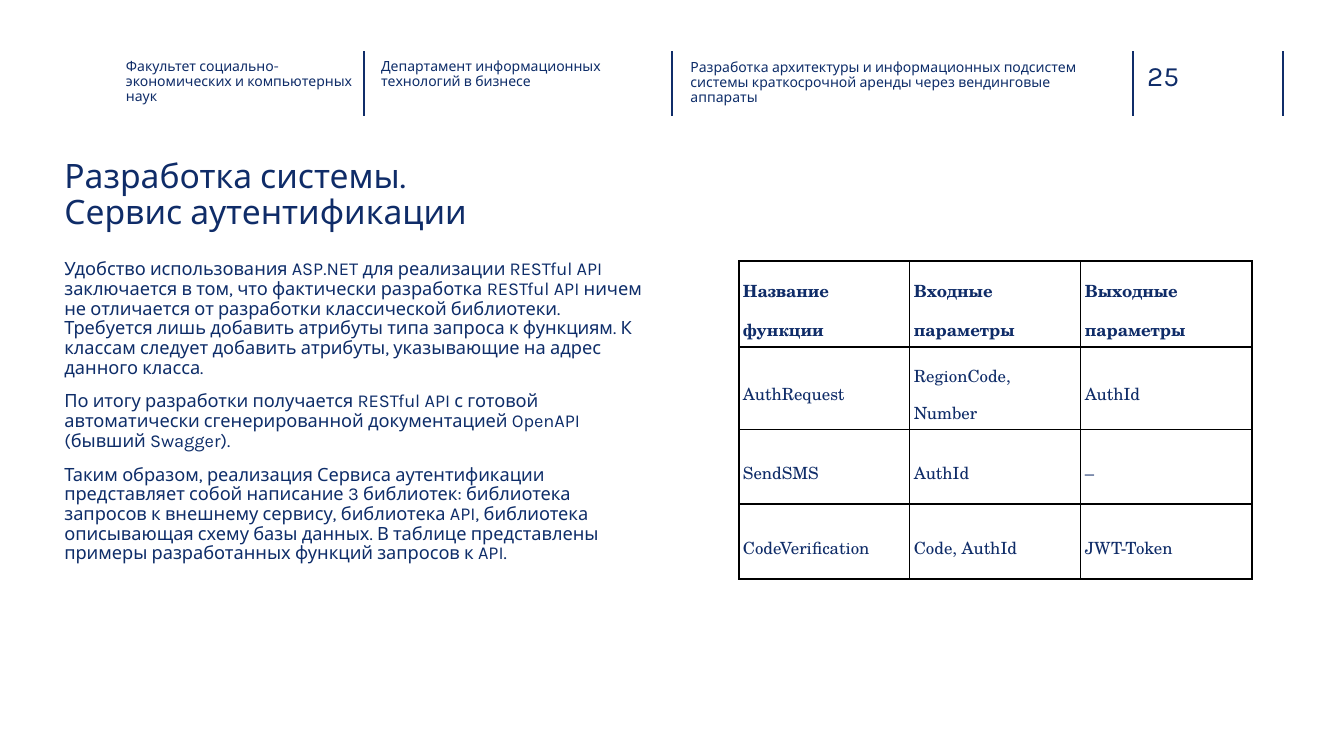
"""Builds the slide about the authentication service."""
from typing import NamedTuple

from lxml import etree
from pptx import Presentation
from pptx import util as u
from pptx.dml import color
from pptx.enum import shapes, text
from pptx.oxml import ns

NAVY = "0F2C68"
BLUE = "0E2D69"
RULE = "102D69"
BLACK = "000000"
SANS = "Karla"
SERIF = "TeX Gyre Schola"


class Box(NamedTuple):
    left: float
    top: float
    width: float
    height: float


class Note(NamedTuple):
    box: Box
    paras: list[str]
    size: float
    hue: str = BLUE
    gap: float = 0
    lead: float = 0.9
    foot: float = 0


RULES = [260, 480, 809.3, 916.5]
TITLE = Note(Box(46, 113.8, 413.3, 61.2),
             ["Разработка системы.\nСервис аутентификации"], 24, NAVY)
NOTES = [
    Note(Box(819.4, 41.8, 52.6, 24.5), ["25"], 20, RULE, lead=1),
    Note(Box(46, 185.8, 413.3, 269.3), [
        "Удобство использования ASP.NET для реализации RESTful API заключается "
        "в том, что фактически разработка RESTful API ничем не отличается от "
        "разработки классической библиотеки. Требуется лишь добавить атрибуты "
        "типа запроса к функциям. К классам следует добавить атрибуты, "
        "указывающие на адрес данного класса.",
        "По итогу разработки получается RESTful API с готовой автоматически "
        "сгенерированной документацией OpenAPI (бывший Swagger).",
        "Таким образом, реализация Сервиса аутентификации представляет собой "
        "написание 3 библиотек: библиотека запросов к внешнему сервису, "
        "библиотека API, библиотека описывающая схему базы данных. В таблице "
        "представлены примеры разработанных функций запросов к API.",
    ], 13, gap=10, foot=3.6),
    Note(Box(90, 42.5, 166, 32.4),
         ["Факультет социально-экономических и компьютерных наук"], 10, NAVY),
    Note(Box(272.2, 42.5, 179.3, 32.4),
         ["Департамент информационных технологий в бизнесе"], 10),
    Note(Box(493.2, 43.2, 277.2, 32.4),
         ["Разработка архитектуры и информационных подсистем системы "
          "краткосрочной аренды через вендинговые аппараты"], 10),
]
GRID = Box(527.8, 186.5, 366.3, 214)
ROWS = [
    ["Название функции", "Входные параметры", "Выходные параметры"],
    ["AuthRequest", "RegionCode, Number", "AuthId"],
    ["SendSMS", "AuthId", "–"],
    ["CodeVerification", "Code, AuthId", "JWT-Token"],
]


def paint(hue: str) -> color.RGBColor:
    return color.RGBColor.from_string(hue)


def points(box: Box) -> list[u.Pt]:
    return [u.Pt(part) for part in box]


def add_run(para, words: str, face: str, size: float, hue: str,
            bold: bool = False) -> None:
    run = para.add_run()
    run.text = words
    run.font.name = face
    run.font.size = u.Pt(size)
    run.font.bold = bold
    run.font.color.rgb = paint(hue)


def write(shape, note: Note) -> None:
    shape.left, shape.top, shape.width, shape.height = points(note.box)
    frame = shape.text_frame
    frame.word_wrap = True
    frame.auto_size = text.MSO_AUTO_SIZE.NONE
    frame.vertical_anchor = text.MSO_ANCHOR.TOP
    frame.margin_left = frame.margin_right = frame.margin_top = 0
    frame.margin_bottom = u.Pt(note.foot)
    for rank, words in enumerate(note.paras):
        para = frame.add_paragraph() if rank else frame.paragraphs[0]
        para.alignment = text.PP_ALIGN.LEFT
        para.line_spacing = note.lead
        para.space_before = u.Pt(note.gap if rank else 0)
        for count, line in enumerate(words.split("\n")):
            if count:
                para.add_line_break()
            add_run(para, line, SANS, note.size, note.hue)


def add_rule(slide, left: float) -> None:
    line = slide.shapes.add_connector(
        shapes.MSO_CONNECTOR.STRAIGHT,
        u.Pt(left), u.Pt(36.7), u.Pt(left), u.Pt(82.8))
    line.line.color.rgb = paint(RULE)
    line.line.width = u.Pt(1)
    etree.SubElement(line._element.spPr, ns.qn("a:effectLst"))


def edge(cell, sides: dict[str, float]) -> None:
    props = cell._tc.get_or_add_tcPr()
    for rank, (side, width) in enumerate(sides.items()):
        line = etree.Element(ns.qn(f"a:ln{side}"), w=str(u.Pt(width)))
        fill = etree.SubElement(line, ns.qn("a:solidFill"))
        etree.SubElement(fill, ns.qn("a:srgbClr"), val=BLACK)
        props.insert(rank, line)


def add_grid(slide) -> None:
    high, wide = len(ROWS), len(ROWS[0])
    table = slide.shapes.add_table(high, wide, *points(GRID)).table
    table.first_row = table.horz_banding = False
    for col in table.columns:
        col.width = u.Pt(GRID.width / wide)
    for row in table.rows:
        row.height = u.Pt(GRID.height / high)
    for y, row in enumerate(ROWS):
        for x, words in enumerate(row):
            cell = table.cell(y, x)
            cell.fill.background()
            cell.vertical_anchor = text.MSO_ANCHOR.MIDDLE
            cell.margin_left = cell.margin_right = u.Pt(2.9)
            cell.margin_top = cell.margin_bottom = u.Pt(2.9)
            para = cell.text_frame.paragraphs[0]
            para.line_spacing = 1.5
            add_run(para, words, SERIF, 12, NAVY, bold=y == 0)
            edge(cell, {
                "L": 1.5 if x == 0 else 1,
                "R": 1.5 if x == wide - 1 else 1,
                "T": 1.5 if y < 2 else 1,
                "B": 1.5 if y in (0, high - 1) else 1,
            })


def main() -> None:
    deck = Presentation()
    deck.slide_width, deck.slide_height = u.Pt(960), u.Pt(540)
    slide = deck.slides.add_slide(deck.slide_layouts.get_by_name("Title Only"))
    for left in RULES:
        add_rule(slide, left)
    write(slide.shapes.title, TITLE)
    for note in NOTES:
        write(slide.shapes.add_textbox(*points(note.box)), note)
    add_grid(slide)
    deck.save("out.pptx")


if __name__ == "__main__":
    main()
